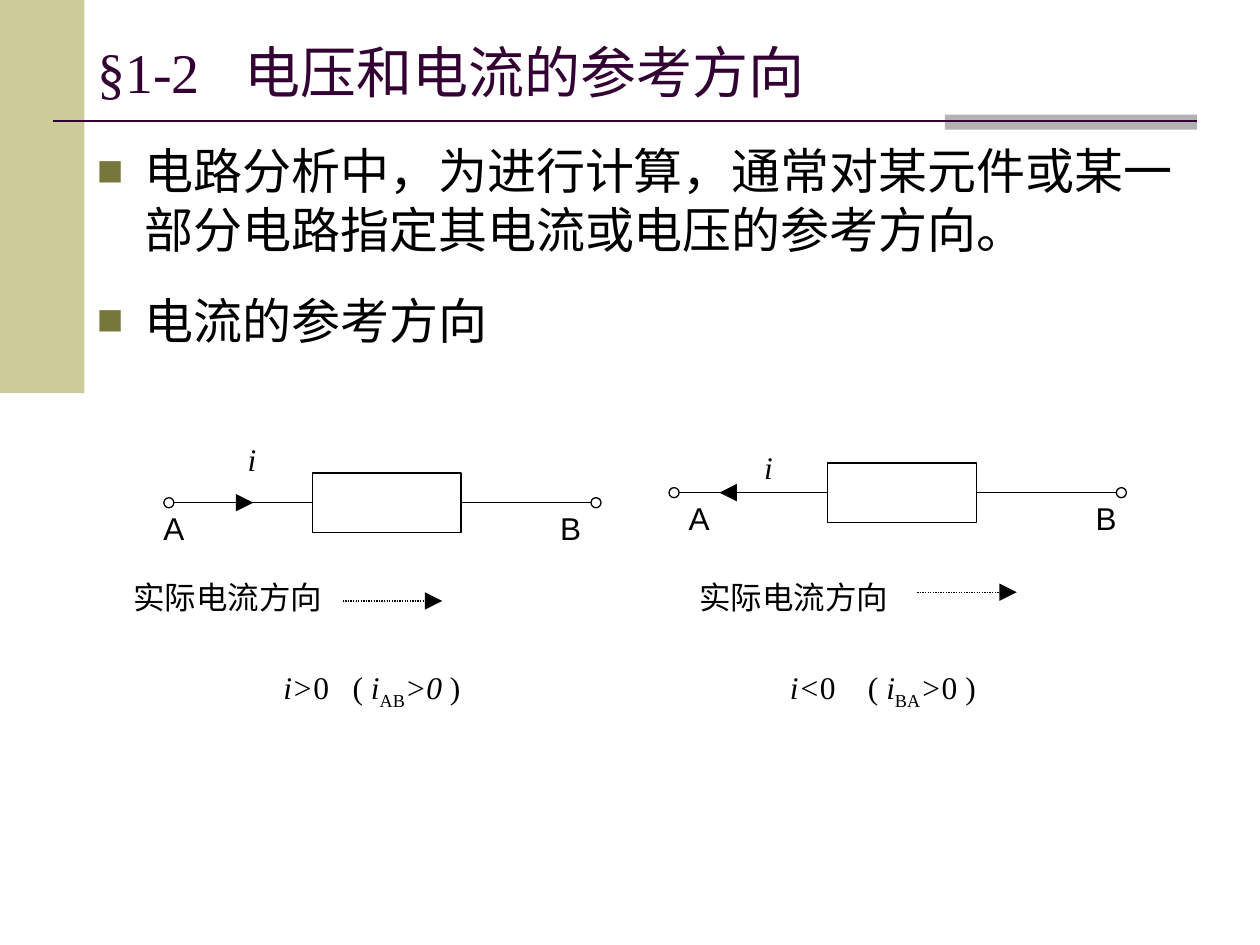
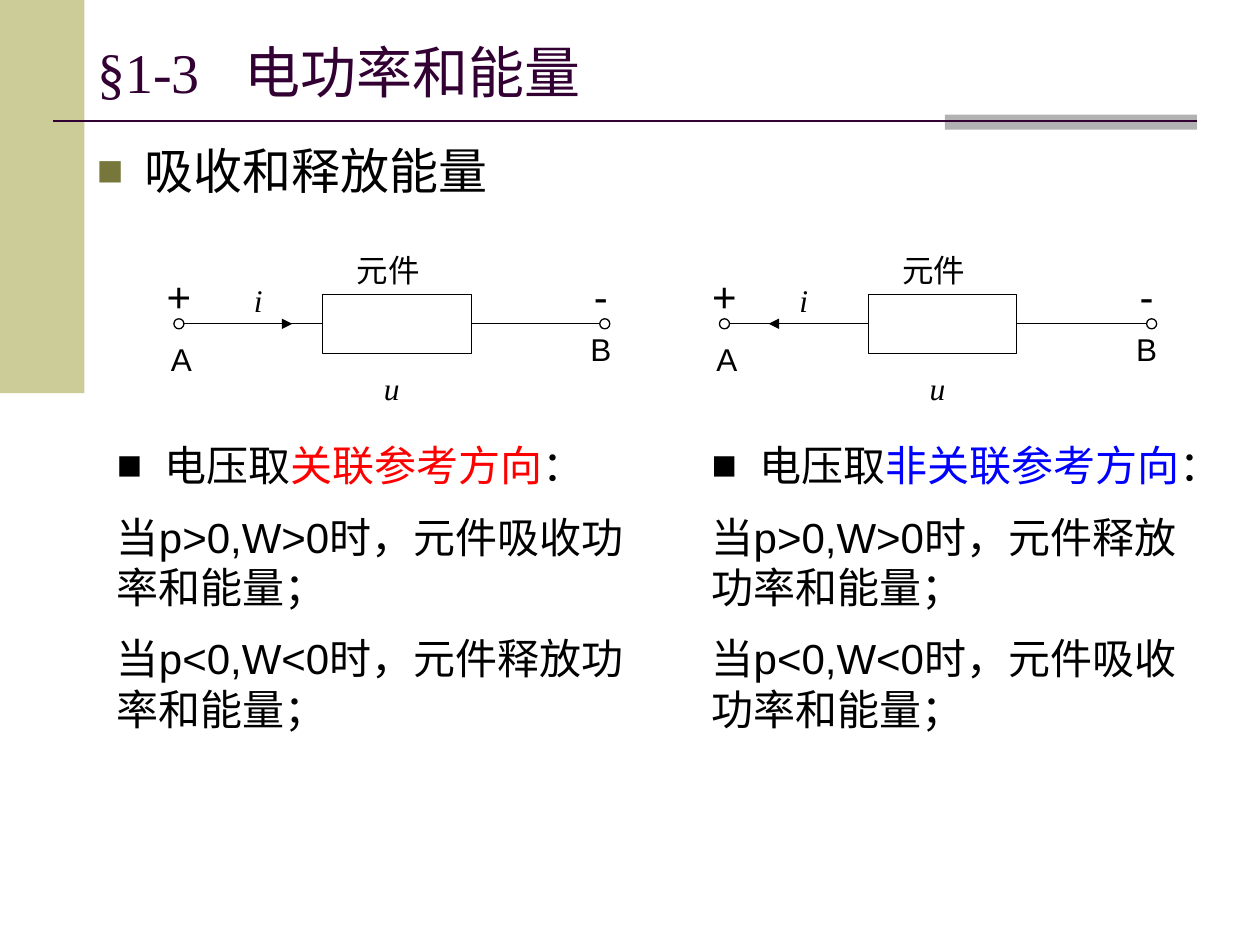
from lxml import etree
from pptx import Presentation
from pptx.dml.color import RGBColor
from pptx.enum import dml, shapes, text
from pptx.oxml import ns
from pptx.util import Inches, Pt

PLUM = RGBColor(0x33, 0x00, 0x33)
KHAKI = RGBColor(0xCC, 0xCC, 0x99)
GREY = RGBColor(0xB2, 0xB2, 0xB2)
OLIVE = RGBColor(0x77, 0x77, 0x3B)
BLACK = RGBColor(0x00, 0x00, 0x00)
RED = RGBColor(0xFF, 0x00, 0x00)
BLUE = RGBColor(0x00, 0x00, 0xFF)
SANS = "Arial"
SERIF = "Times New Roman"
LEFT, CENTER = text.PP_ALIGN.LEFT, text.PP_ALIGN.CENTER


def write(slide, at, paragraphs, size, face=SANS, align=LEFT, gap=0):
    """Add a text box from lists of run texts and return its paragraphs."""
    frame = slide.shapes.add_textbox(*map(Inches, at)).text_frame
    frame.word_wrap = True
    for number, pieces in enumerate(paragraphs):
        paragraph = frame.add_paragraph() if number else frame.paragraphs[0]
        paragraph.alignment = align
        if number:
            paragraph.space_before = Pt(gap)
        for piece in pieces:
            run = paragraph.add_run()
            run.text = piece
            run.font.size = Pt(size)
            run.font.name = face
            run.font.color.rgb = BLACK
    return frame.paragraphs


def wire(slide, start, end, color=BLACK, width=0.75, head=None):
    """Add a straight line; head is the arrowhead size, such as med or lg."""
    line = slide.shapes.add_connector(
        shapes.MSO_CONNECTOR.STRAIGHT, *map(Inches, (*start, *end)))
    line.line.color.rgb = color
    line.line.width = Pt(width)
    if head:
        etree.SubElement(line.line._get_or_add_ln(), ns.qn("a:tailEnd"),
                         type="triangle", w=head, len=head)
    etree.SubElement(line.element.spPr, ns.qn("a:effectLst"))
    return line


prs = Presentation()
prs.slide_width, prs.slide_height = Inches(10), Inches(7.5)
layout = prs.slide_layouts[5]
directions, power = (prs.slides.add_slide(layout) for _ in range(2))

# Shared decoration, moved onto the layout
decoration = []
for at, color in [((0, 0, 0.67, 3.12), KHAKI), ((7.5, 0.91, 2, 0.12), GREY)]:
    band = directions.shapes.add_shape(
        shapes.MSO_SHAPE.RECTANGLE, *map(Inches, at))
    band.shadow.inherit = False
    band.fill.solid()
    band.fill.fore_color.rgb = color
    band.line.fill.background()
    decoration.append(band)
decoration.append(wire(directions, (0.42, 0.96), (9.5, 0.96), PLUM, 1.5))
for part in decoration:
    layout.shapes.element.append(part.element)

# Titles and body bullets
tabbed = []  # (paragraph, tab position)
bulleted = []  # (paragraph, colour, size in percent)
for slide, heading, points in [
    (directions, "§1-2\t电压和电流的参考方向",
     ["电路分析中，为进行计算，通常对某元件或某一部分电路指定其电流或电压的参考方向。",
      "电流的参考方向"]),
    (power, "§1-3\t电功率和能量", ["吸收和释放能量"]),
]:
    title = slide.shapes.title
    title.left, title.top = Inches(0.67), Inches(0.3)
    title.width, title.height = Inches(8.83), Inches(0.53)
    frame = title.text_frame
    frame.text = heading
    frame.auto_size = text.MSO_AUTO_SIZE.NONE
    frame.vertical_anchor = text.MSO_ANCHOR.MIDDLE
    line = frame.paragraphs[0]
    line.alignment = LEFT
    font = line.runs[0].font
    font.size, font.name, font.color.rgb = Pt(32), SERIF, PLUM
    tabbed.append((line, 1.17))

    body = write(slide, (0.67, 1.07, 9.08, 2.2),
                 [[point] for point in points], 28, gap=18)
    bulleted += [(point, OLIVE, 90) for point in body]

# Circuits: left terminal, wire height, element, right terminal, arrow
DOT = 0.08
ELEMENT_W, ELEMENT_H = 1.18, 0.47
for slide, left, y, element, right, tail, tip, head in [
    (directions, 1.30, 3.99, 2.48, 4.69, 1.53, 2.01, "lg"),
    (directions, 5.31, 3.91, 6.57, 8.86, 6.26, 5.71, "lg"),
    (power, 1.38, 2.57, 2.56, 4.76, 1.85, 2.32, "med"),
    (power, 5.71, 2.57, 6.89, 9.10, 6.58, 6.10, "med"),
]:
    for kind, at in [
        (shapes.MSO_SHAPE.RECTANGLE,
         (element, y - ELEMENT_H / 2, ELEMENT_W, ELEMENT_H)),
        (shapes.MSO_SHAPE.OVAL, (left, y - DOT / 2, DOT, DOT)),
        (shapes.MSO_SHAPE.OVAL, (right, y - DOT / 2, DOT, DOT)),
    ]:
        outline = slide.shapes.add_shape(kind, *map(Inches, at))
        outline.shadow.inherit = False
        outline.fill.background()
        outline.line.color.rgb = BLACK
        outline.line.width = Pt(0.75)
    wire(slide, (left + DOT, y), (element, y))
    wire(slide, (element + ELEMENT_W, y), (right, y))
    wire(slide, (tail, y), (tip, y), head=head)

# Circuit labels: text, centre, top, size
labels = [(directions, *label) for label in [
    ("A", 1.38, 3.99, 18), ("B", 4.53, 3.99, 18), ("i", 2.0, 3.44, 18),
    ("A", 5.55, 3.91, 18), ("B", 8.78, 3.91, 18), ("i", 6.1, 3.51, 18),
    ("实际电流方向", 1.81, 4.54, 18), ("实际电流方向", 6.3, 4.54, 18),
]]
for shift in (0, 4.33):
    labels += [(power, name, center + shift, top, size)
               for name, center, top, size in [
                   ("+", 1.42, 2.1, 24), ("-", 4.77, 2.1, 24),
                   ("A", 1.44, 2.65, 18), ("B", 4.77, 2.57, 18),
                   ("i", 2.05, 2.18, 18), ("u", 3.11, 2.88, 18),
                   ("元件", 3.08, 1.94, 18)]]
for slide, name, center, top, size in labels:
    width = 0.47 if len(name) == 1 else 0.35 * len(name) + 0.2
    symbol = name in ("i", "u")
    label = write(slide, (center - width / 2, top, width, size / 45), [[name]],
                  size, SERIF if symbol else SANS, CENTER)
    label[0].runs[0].font.italic = symbol

# Actual current directions and the sign formulas
for x, y in [(2.72, 4.77), (7.28, 4.7)]:
    actual = wire(directions, (x, y), (x + 0.79, y), head="lg")
    actual.line.dash_style = dml.MSO_LINE.ROUND_DOT
for x, tab, pieces, italics in [
    (2.15, 0.55, ["i>", "0\t( ", "i", "AB", ">0 ", ")"], (0, 2, 4)),
    (6.17, 0.62, ["i<", "0\t( ", "i", "BA", ">", "0 )"], (0, 2, 4)),
]:
    formula = write(directions, (x, 5.25, 2.2, 0.4), [pieces], 18, SERIF)[0]
    for number, run in enumerate(formula.runs):
        run.font.italic = number in italics
    formula.runs[3].font._element.set("baseline", "-25000")
    tabbed.append((formula, tab))

# Power rules for both reference directions
for x, width, reference, color, positive, negative in [
    (0.83, 4.33, "关联参考方向", RED, "吸收", "释放"),
    (5.55, 4.02, "非关联参考方向", BLUE, "释放", "吸收"),
]:
    rules = write(power, (x, 3.44, width, 2.52), [
        ["电压取", reference, "："],
        [f"当p>0,W>0时，元件{positive}功率和能量；"],
        [f"当p<0,W<0时，元件{negative}功率和能量；"],
    ], 24, gap=12)
    rules[0].runs[1].font.color.rgb = color
    bulleted.append((rules[0], BLACK, 100))

for paragraph, color, percent in bulleted:
    props = paragraph._p.get_or_add_pPr()
    props.set("marL", str(Inches(0.38)))
    props.set("indent", str(-Inches(0.38)))
    tint = etree.SubElement(props, ns.qn("a:buClr"))
    etree.SubElement(tint, ns.qn("a:srgbClr"), val=str(color))
    etree.SubElement(props, ns.qn("a:buSzPct"), val=str(percent * 1000))
    etree.SubElement(props, ns.qn("a:buFont"), typeface=SANS)
    etree.SubElement(props, ns.qn("a:buChar"), char="■")

for paragraph, position in tabbed:
    props = paragraph._p.get_or_add_pPr()
    stops = etree.SubElement(props, ns.qn("a:tabLst"))
    etree.SubElement(stops, ns.qn("a:tab"), pos=str(Inches(position)), algn="l")

prs.save("out.pptx")
